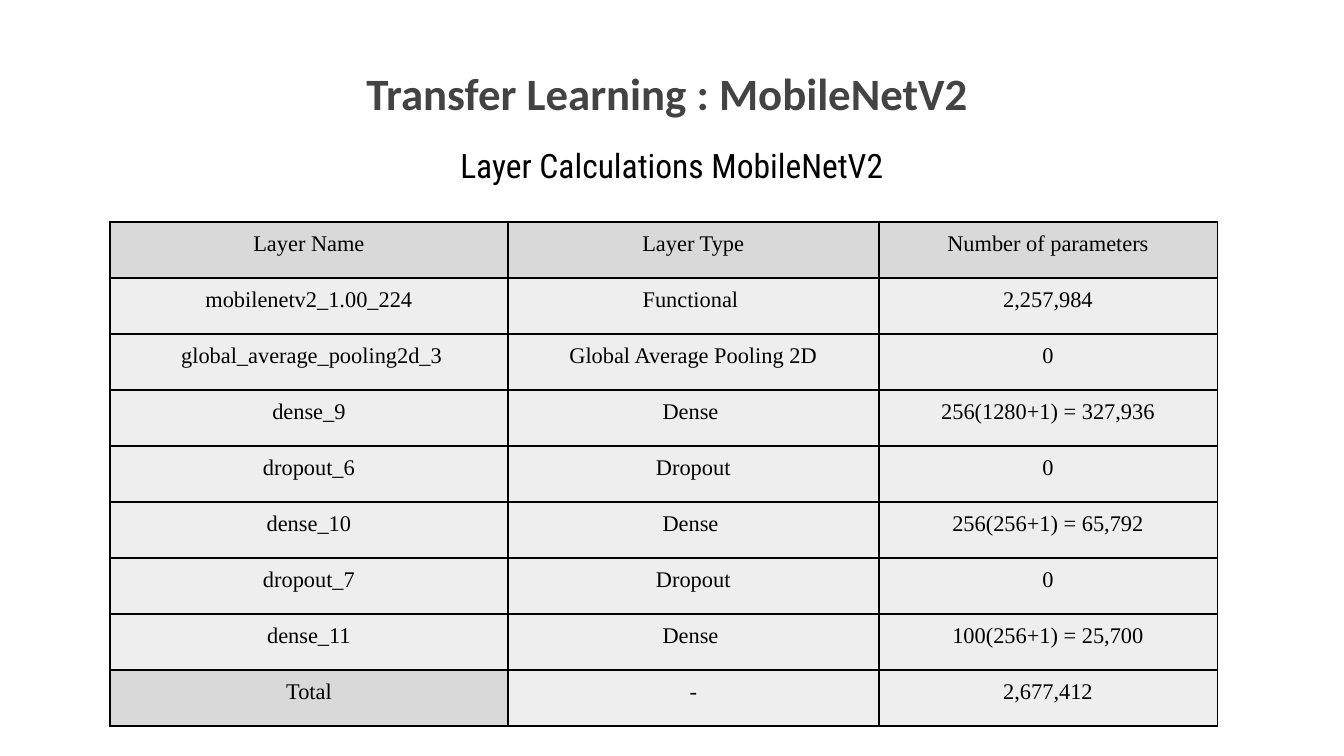
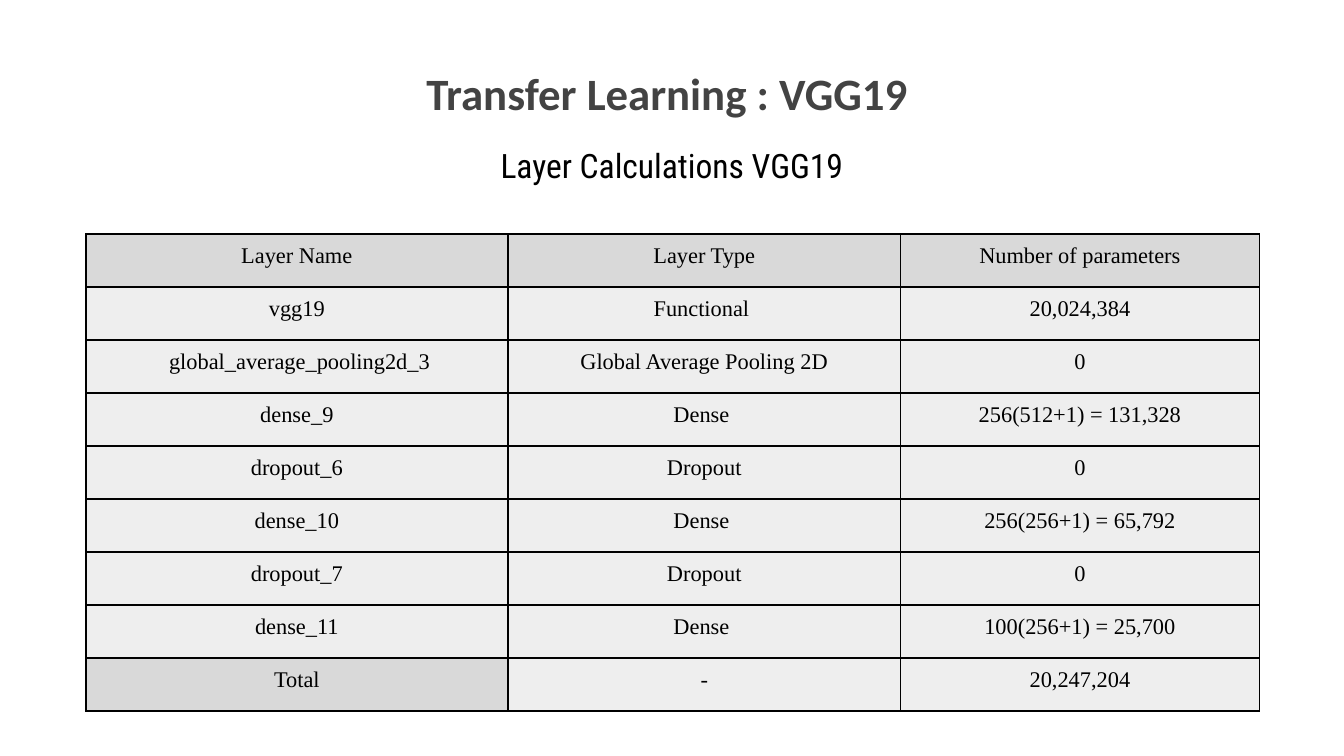
from dataclasses import dataclass

from lxml.etree import SubElement
from pptx import Presentation
from pptx.dml.color import RGBColor
from pptx.enum.text import MSO_ANCHOR, MSO_AUTO_SIZE, PP_ALIGN
from pptx.oxml.ns import qn
from pptx.util import Pt


@dataclass(frozen=True)
class Theme:
    title_color: RGBColor = RGBColor(0x43, 0x43, 0x43)
    text_color: RGBColor = RGBColor(0, 0, 0)
    border_color: str = "000000"
    label_fill: RGBColor = RGBColor(0xD9, 0xD9, 0xD9)
    cell_fill: RGBColor = RGBColor(0xEE, 0xEE, 0xEE)
    title_font: str = "Calibri"
    subtitle_font: str = "Roboto Condensed"
    table_font: str = "Times New Roman"
    title_size: Pt = Pt(24)
    subtitle_size: Pt = Pt(18)
    table_size: Pt = Pt(12)
    box_inset: Pt = Pt(7.2)
    cell_inset: Pt = Pt(5)
    border_width: Pt = Pt(1)


theme = Theme()


def write_text(holder, text, font_name, size, color, inset, bold=False):
    """Fill a shape or table cell with one centred, top-anchored line."""
    holder.margin_left = holder.margin_right = inset
    holder.margin_top = holder.margin_bottom = inset
    holder.vertical_anchor = MSO_ANCHOR.TOP
    frame = getattr(holder, "text_frame", holder)
    frame.word_wrap = True
    paragraph = frame.paragraphs[0]
    paragraph.text = text
    paragraph.alignment = PP_ALIGN.CENTER
    paragraph.font.name = font_name
    paragraph.font.size = size
    paragraph.font.color.rgb = color
    paragraph.font.bold = bold


def add_borders(cell):
    """Draw a solid line on all four sides of a table cell."""
    properties = cell._tc.get_or_add_tcPr()
    for index, side in enumerate(("lnL", "lnR", "lnT", "lnB")):
        line = SubElement(properties, qn(f"a:{side}"), w=str(theme.border_width))
        fill = SubElement(line, qn("a:solidFill"))
        SubElement(fill, qn("a:srgbClr"), val=theme.border_color)
        properties.insert(index, line)


# Content: the layers both networks share, then what differs per network
header = ("Layer Name", "Layer Type", "Number of parameters")
layers = [
    (" global_average_pooling2d_3", "Global Average Pooling 2D"),
    ("dense_9", "Dense "),
    ("dropout_6", "Dropout"),
    ("dense_10", "Dense "),
    ("dropout_7", "Dropout"),
    ("dense_11", "Dense "),
]
networks = [
    {
        "name": "MobileNetV2",
        "base": ("mobilenetv2_1.00_224", "Functional ", "2,257,984"),
        "first_dense": "256(1280+1) = 327,936",
        "total": "2,677,412",
        "left": 59, "top": 119, "row_height": 30,
        "columns": (213.1, 198.7, 181.4),
    },
    {
        "name": "VGG19",
        "base": ("vgg19", "Functional ", "20,024,384"),
        "first_dense": "256(512+1) = 131,328",
        "total": "20,247,204",
        "left": 46, "top": 125.4, "row_height": 28.4,
        "columns": (226.1, 210.4, 192.2),
    },
]

presentation = Presentation()
presentation.slide_width, presentation.slide_height = Pt(720), Pt(405)

for network in networks:
    slide = presentation.slides.add_slide(presentation.slide_layouts[5])

    # Title
    title = slide.shapes.title
    title.left, title.top, title.width, title.height = Pt(154.8), Pt(28), Pt(410.4), Pt(54.7)
    title.text_frame.auto_size = MSO_AUTO_SIZE.NONE
    write_text(title.text_frame, f"Transfer Learning : {network['name']} ", theme.title_font,
               theme.title_size, theme.title_color, theme.box_inset, bold=True)

    # Subtitle
    subtitle = slide.shapes.add_textbox(Pt(162.7), Pt(70.6), Pt(394.6), Pt(36))
    subtitle.text_frame.auto_size = MSO_AUTO_SIZE.SHAPE_TO_FIT_TEXT
    write_text(subtitle.text_frame, f"Layer Calculations {network['name']}", theme.subtitle_font,
               theme.subtitle_size, theme.text_color, theme.box_inset)

    # Table of layers
    counts = ["0", network["first_dense"], "0", "256(256+1) = 65,792", "0", "100(256+1) = 25,700"]
    rows = [header, network["base"]]
    rows += [(*layer, count) for layer, count in zip(layers, counts)]
    rows.append(("Total", "-", network["total"]))

    table = slide.shapes.add_table(
        len(rows), len(header), Pt(network["left"]), Pt(network["top"]),
        Pt(sum(network["columns"])), Pt(network["row_height"] * len(rows))).table
    for column, width in zip(table.columns, network["columns"]):
        column.width = Pt(width)

    for row_index, row in enumerate(rows):
        table.rows[row_index].height = Pt(network["row_height"])
        for column_index, text in enumerate(row):
            cell = table.cell(row_index, column_index)
            write_text(cell, text, theme.table_font, theme.table_size,
                       theme.text_color, theme.cell_inset)
            is_label = row_index == 0 or text == "Total"
            cell.fill.solid()
            cell.fill.fore_color.rgb = theme.label_fill if is_label else theme.cell_fill
            add_borders(cell)

presentation.save("out.pptx")
